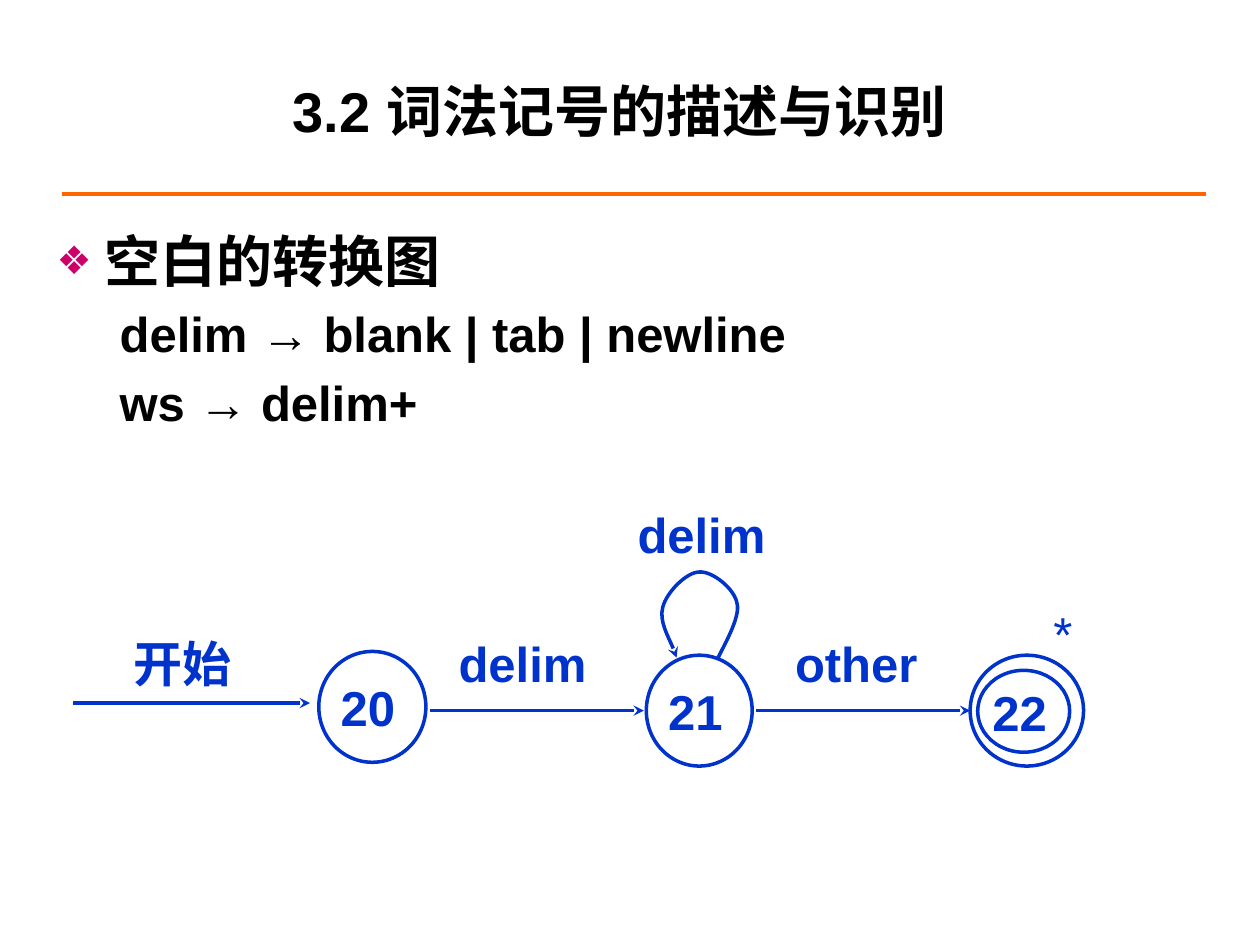
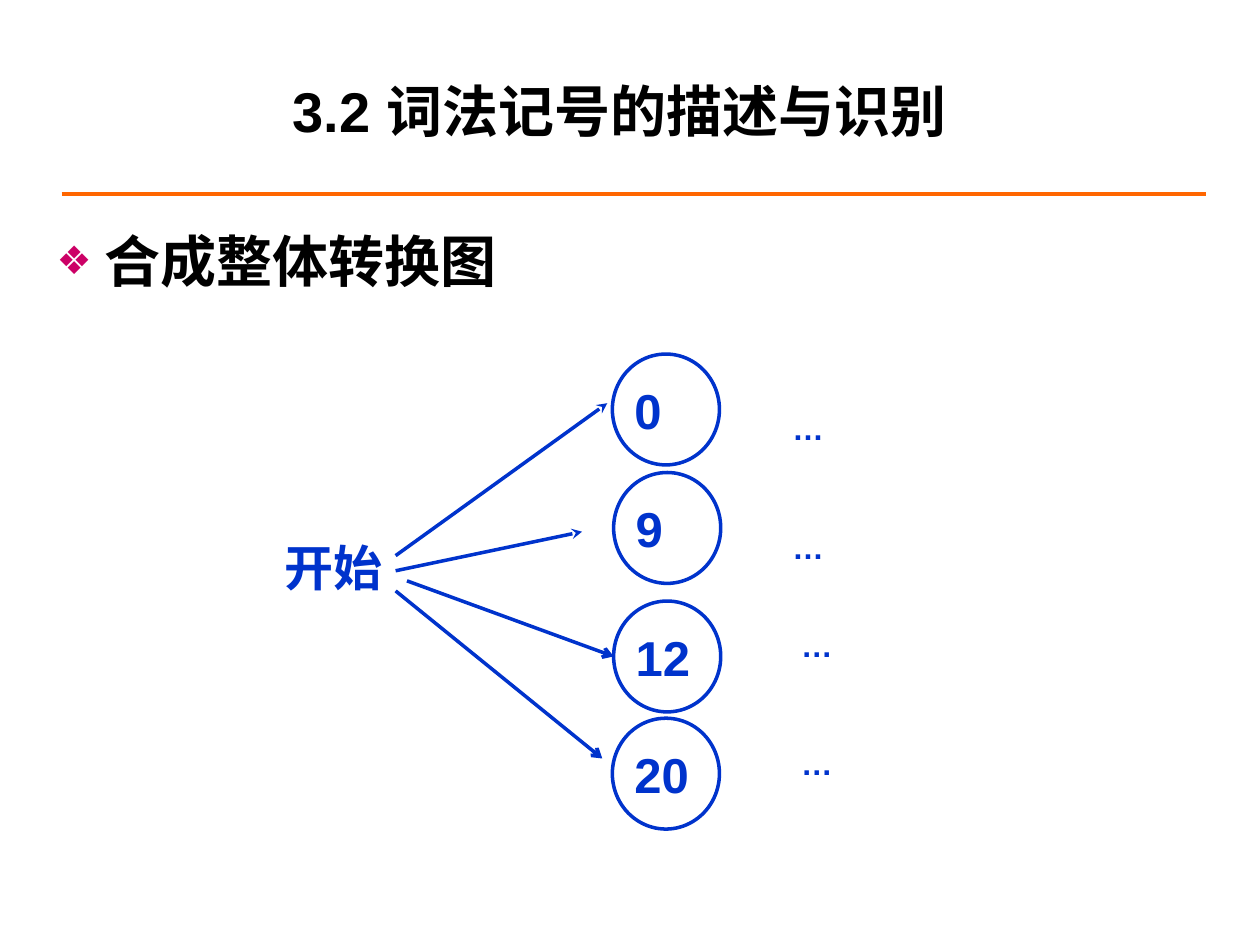
from dataclasses import dataclass

from lxml import etree
from pptx import Presentation
from pptx.dml.color import RGBColor
from pptx.enum.shapes import MSO_CONNECTOR, MSO_SHAPE
from pptx.enum.text import MSO_ANCHOR, MSO_AUTO_SIZE, PP_ALIGN
from pptx.oxml.ns import qn
from pptx.util import Pt

PX = 9144
OVAL = MSO_SHAPE.OVAL
STRAIGHT = MSO_CONNECTOR.STRAIGHT
TOP, MIDDLE = MSO_ANCHOR.TOP, MSO_ANCHOR.MIDDLE
LEFT, CENTER, JUSTIFY = PP_ALIGN.LEFT, PP_ALIGN.CENTER, PP_ALIGN.JUSTIFY
FIXED, GROW = MSO_AUTO_SIZE.NONE, MSO_AUTO_SIZE.SHAPE_TO_FIT_TEXT


@dataclass(frozen=True)
class Theme:
    ink: str = "000000"
    diagram: str = "0033CC"
    rule: str = "FF6600"
    bullet: str = "CC0066"
    latin: str = "Arial"
    east_asian: str = "Noto Sans CJK SC"
    heading: int = 32
    label: int = 28
    dots: int = 18
    rule_width: float = 2.25
    stroke: int = 2


THEME = Theme()
TITLE = "3.2 词法记号的描述与识别"
STATE_INSETS = (5, 5, 2, 5)
LABEL_INSETS = (6, 3, 6, 3)


def px(*lengths):
    return [length * PX for length in lengths]


def add_xml(parent, tag, **attributes):
    return etree.SubElement(parent, qn(tag), attributes)


def place(shape, box):
    shape.left, shape.top, shape.width, shape.height = px(*box)


def format_paragraph(paragraph, size, color, alignment, bold=True):
    paragraph.alignment = alignment
    for run in paragraph.runs:
        run.font.name = THEME.latin
        run.font.size = Pt(size)
        run.font.bold = bold
        run.font.color.rgb = RGBColor.from_string(color)
        latin = run.font._element.find(qn("a:latin"))
        east_asian = etree.Element(qn("a:ea"), typeface=THEME.east_asian)
        latin.addnext(east_asian)


def set_frame(frame, anchor, insets, wrap=True, auto_size=FIXED):
    frame.word_wrap = wrap
    frame.auto_size = auto_size
    frame.vertical_anchor = anchor
    (frame.margin_left, frame.margin_top,
     frame.margin_right, frame.margin_bottom) = px(*insets)


def set_line(shape, color, width, head=None):
    shape.line.color.rgb = RGBColor.from_string(color)
    shape.line.width = Pt(width)
    if head:
        add_xml(shape.element.spPr.find(qn("a:ln")), "a:tailEnd", type=head)


def add_line(shapes, start, end, color, width, head=None):
    line = shapes.add_connector(STRAIGHT, *px(*start, *end))
    set_line(line, color, width, head)
    add_xml(line.element.spPr, "a:effectLst")
    return line


def add_arrow(shapes, start, end, head="stealth"):
    add_line(shapes, start, end, THEME.diagram, THEME.stroke, head)


def add_state(shapes, box, text="", anchor=MIDDLE, insets=STATE_INSETS,
              alignment=LEFT):
    state = shapes.add_shape(OVAL, *px(*box))
    state.shadow.inherit = False
    state.fill.background()
    set_line(state, THEME.diagram, THEME.stroke)
    if text:
        set_frame(state.text_frame, anchor, insets)
        state.text_frame.text = text
        format_paragraph(state.text_frame.paragraphs[0], THEME.label,
                         THEME.diagram, alignment)


def add_label(shapes, box, text, insets=LABEL_INSETS, bold=True):
    label = shapes.add_textbox(*px(*box))
    set_frame(label.text_frame, TOP, insets)
    label.text_frame.text = text
    format_paragraph(label.text_frame.paragraphs[0], THEME.label,
                     THEME.diagram, JUSTIFY, bold)


def add_dots(shapes, left, top):
    dots = shapes.add_textbox(*px(left, top, 45, 40))
    set_frame(dots.text_frame, TOP, (10, 5, 10, 5), False, GROW)
    dots.text_frame.text = "…"
    format_paragraph(dots.text_frame.paragraphs[0], THEME.dots,
                     THEME.diagram, LEFT)


def add_curve(shapes, start, control_points):
    builder = shapes.build_freeform(*start, scale=PX)
    builder.add_line_segments(control_points, close=False)
    curve = builder.convert_to_shape()
    curve.shadow.inherit = False
    curve.fill.background()
    set_line(curve, THEME.diagram, THEME.stroke, "stealth")
    outline = next(curve.element.iter(qn("a:path")))
    segments = outline.findall(qn("a:lnTo"))
    for first in range(0, len(segments), 3):
        bezier = add_xml(outline, "a:cubicBezTo")
        for segment in segments[first:first + 3]:
            bezier.append(segment[0])
            outline.remove(segment)


def format_body_item(paragraph, is_heading):
    size = THEME.heading if is_heading else THEME.label
    margin, indent = (38, -38) if is_heading else (81, -31)
    format_paragraph(paragraph, size, THEME.ink, LEFT)
    paragraph.level = 0 if is_heading else 1
    paragraph.space_before = Pt(size * 0.2)
    properties = paragraph._p.get_or_add_pPr()
    properties.set("marL", str(margin * PX))
    properties.set("indent", str(indent * PX))
    if is_heading:
        color = add_xml(properties, "a:buClr")
        add_xml(color, "a:srgbClr", val=THEME.bullet)
        add_xml(properties, "a:buSzPct", val="70000")
        add_xml(properties, "a:buChar", char="❖")
    else:
        add_xml(properties, "a:buNone")


def add_content_slide(presentation, items):
    slide = presentation.slides.add_slide(presentation.slide_layouts[1])
    title, body = slide.shapes.title, slide.placeholders[1]
    place(title, (67, 25, 850, 125))
    set_frame(title.text_frame, MIDDLE, (10, 5, 10, 5))
    title.text_frame.text = TITLE
    format_paragraph(title.text_frame.paragraphs[0], THEME.heading,
                     THEME.ink, CENTER)
    place(body, (35, 175, 942, 197))
    set_frame(body.text_frame, TOP, (10, 5, 10, 5))
    body.text_frame.text = "\n".join(items)
    for index, paragraph in enumerate(body.text_frame.paragraphs):
        format_body_item(paragraph, index == 0)
    return slide


def add_layout_rule(slide):
    rule = add_line(slide.shapes, (49, 154), (957, 154), THEME.rule,
                    THEME.rule_width)
    slide.slide_layout.shapes.element.append(rule.element)


def draw_whitespace_diagram(slide):
    shapes = slide.shapes.add_group_shape().shapes
    add_state(shapes, (253, 517, 85, 88), "20")
    add_state(shapes, (513, 520, 84, 88), "21")
    add_state(shapes, (770, 520, 90, 88))
    add_state(shapes, (776, 532, 73, 65), "22", TOP, (1, 0, 1, 0), JUSTIFY)
    for left, right, y in ((58, 246, 558), (341, 511, 564), (600, 770, 564)):
        add_arrow(shapes, (left, y), (right, y))
    for left, width, text in ((100, 137, "开始"), (358, 179, "delim"),
                              (625, 179, "other")):
        add_label(shapes, (left, 500, width, 84), text)
    add_label(shapes, (830, 476, 62, 84), "*", bold=False)
    add_label(shapes, (500, 400, 152, 59), "delim", (6, 0, 6, 0))
    add_curve(shapes, (570, 522), [
        (573, 515), (588, 490), (585, 479),
        (583, 467), (565, 453), (555, 454),
        (545, 454), (529, 470), (526, 482),
        (523, 493), (535, 514), (537, 522)])


def draw_combined_diagram(slide):
    shapes = slide.shapes.add_group_shape().shapes
    add_label(shapes, (220, 424, 137, 84), "开始")
    for left, top, text in ((486, 281, "0"), (487, 375, "9"),
                            (487, 477, "12"), (486, 570, "20")):
        add_state(shapes, (left, top, 85, 88), text)
    add_arrow(shapes, (314, 441), (482, 320))
    add_arrow(shapes, (314, 453), (462, 422))
    add_arrow(slide.shapes, (323, 461), (487, 521), "arrow")
    add_arrow(slide.shapes, (314, 469), (478, 602), "arrow")
    for left, top in ((619, 320), (619, 414), (626, 492), (626, 586)):
        add_dots(slide.shapes, left, top)


def main():
    presentation = Presentation()
    presentation.slide_width, presentation.slide_height = px(1000, 750)
    whitespace = add_content_slide(presentation, [
        "空白的转换图", "delim → blank | tab | newline", "ws → delim+"])
    add_layout_rule(whitespace)
    draw_whitespace_diagram(whitespace)
    combined = add_content_slide(presentation, ["合成整体转换图"])
    draw_combined_diagram(combined)
    presentation.save("out.pptx")


if __name__ == "__main__":
    main()
